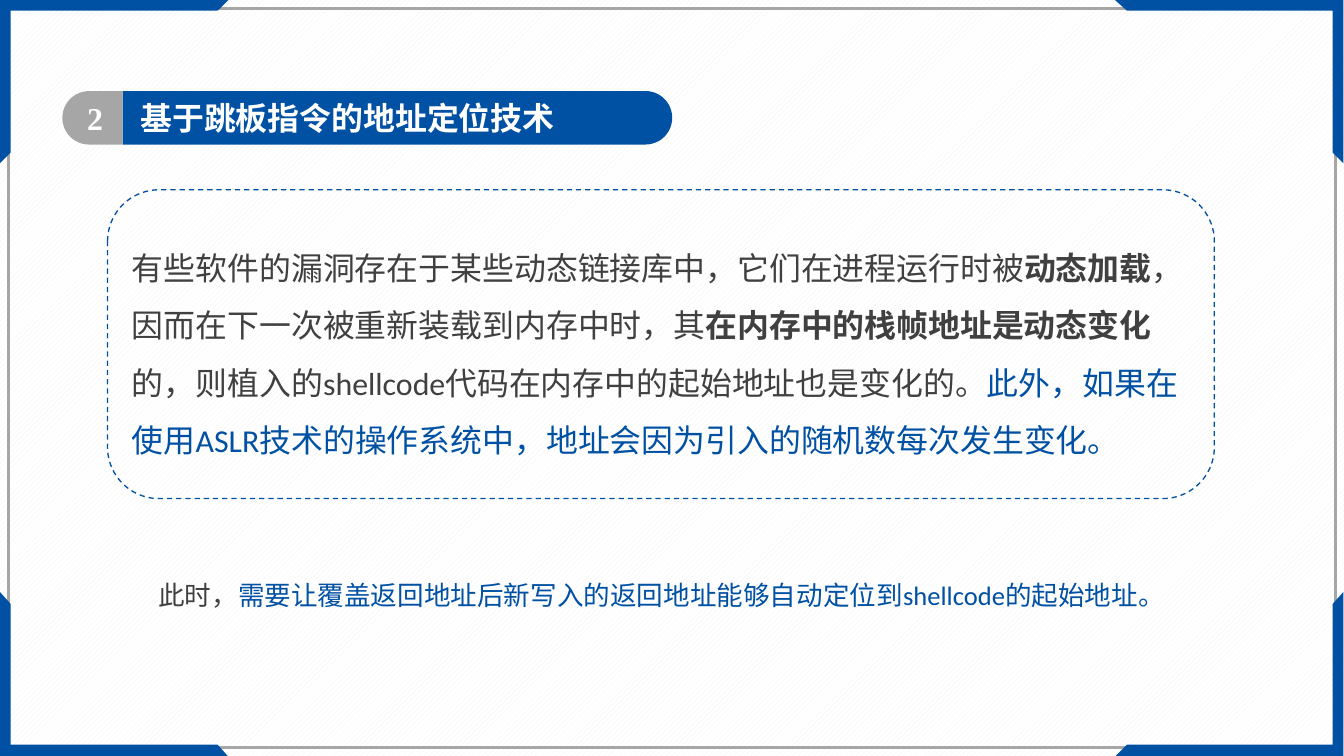
from pptx import Presentation
from pptx.dml.color import RGBColor
from pptx.enum.dml import MSO_LINE, MSO_PATTERN
from pptx.enum.shapes import MSO_SHAPE
from pptx.enum.text import MSO_ANCHOR, MSO_AUTO_SIZE, PP_ALIGN
from pptx.util import Pt

RECT = MSO_SHAPE.RECTANGLE
ROUNDED = MSO_SHAPE.ROUNDED_RECTANGLE
HALF_PILL = MSO_SHAPE.ROUND_2_SAME_RECTANGLE
DASH = MSO_LINE.DASH
STRIPES = MSO_PATTERN.WIDE_UPWARD_DIAGONAL
TOP, MIDDLE = MSO_ANCHOR.TOP, MSO_ANCHOR.MIDDLE
LEFT, CENTER, JUSTIFY = PP_ALIGN.LEFT, PP_ALIGN.CENTER, PP_ALIGN.JUSTIFY
NO_AUTOFIT = MSO_AUTO_SIZE.NONE

COLORS = {"blue": "0050A3", "gray": "A6A6A6", "text": "404040",
          "white": "FFFFFF", "stripe": "F2F2F2"}
WIDTH, HEIGHT = 1012.5, 569.5


def rgb(name):
    return RGBColor.from_string(COLORS[name])


def write(shape, runs, size=24, font="Calibri", align=LEFT, anchor=TOP,
          spacing=1.0, insets=(7.2, 3.6)):
    frame = shape.text_frame
    frame.word_wrap = True
    frame.auto_size = NO_AUTOFIT
    frame.vertical_anchor = anchor
    frame.margin_left = frame.margin_right = Pt(insets[0])
    frame.margin_top = frame.margin_bottom = Pt(insets[1])
    paragraph = frame.paragraphs[0]
    paragraph.alignment = align
    paragraph.line_spacing = spacing
    paragraph._p.get_or_add_pPr().set("hangingPunct", "0")
    for words, color, bold in runs:
        run = paragraph.add_run()
        run.text = words
        run.font.size = Pt(size)
        run.font.name = font
        run.font.bold = bold
        run.font.color.rgb = rgb(color)


def paint(shape, fill=None, line=None, weight=1):
    shape.shadow.inherit = False
    if fill:
        shape.fill.solid()
        shape.fill.fore_color.rgb = rgb(fill)
    else:
        shape.fill.background()
    if line:
        shape.line.color.rgb = rgb(line)
        shape.line.width = Pt(weight)
    else:
        shape.line.fill.background()
    return shape


def add_preset(slide, kind, box, **look):
    return paint(slide.shapes.add_shape(kind, *map(Pt, box)), **look)


def add_half_pill(slide, box, rotation, fill):
    left, top, width, height = box
    shift = (width - height) / 2
    half = add_preset(slide, HALF_PILL,
                      (left + shift, top - shift, height, width), fill=fill)
    half.adjustments[0] = 0.5
    half.adjustments[1] = 0
    half.rotation = rotation
    return half


def add_frame(slide, box):
    left, top, width, height = box
    inset, band, across, down = 6.5, 8.5, 172, 123.3
    add_preset(slide, RECT, (left + inset, top + inset,
                             width - 2 * inset, height - 2 * inset),
               line="gray", weight=2)
    corner = [(0, 0), (across, 0), (across - band, band), (band, band),
              (band, down - band), (0, down)]
    for x, x_step in ((left, 1), (left + width, -1)):
        for y, y_step in ((top, 1), (top + height, -1)):
            points = [(x + x_step * dx, y + y_step * dy) for dx, dy in corner]
            outline = slide.shapes.build_freeform(*points[0], scale=Pt(1))
            outline.add_line_segments(points[1:], close=True)
            paint(outline.convert_to_shape(), fill="blue")


def add_heading(slide, box, number, heading):
    left, top, width, height = box
    number_width = 45.4
    bar_left = left + number_width
    insets = (10.8, 5.76)
    bar = add_half_pill(slide, (bar_left, top, width - number_width, height),
                        90, "blue")
    add_half_pill(slide, (left, top, number_width, height), 270, "gray")
    title = slide.shapes.title
    title.left, title.top = Pt(bar_left + 2.5), Pt(top)
    title.width, title.height = Pt(width - number_width - 5), Pt(height)
    write(title, [(heading, "white", True)], insets=insets)
    bar.element.addnext(title.element)
    badge = slide.shapes.add_textbox(Pt(left + 3.2), Pt(top),
                                     Pt(43), Pt(height))
    write(badge, [(number, "white", True)], font="Times New Roman",
          align=CENTER, insets=insets)


def add_explanation(slide, box, runs):
    panel = add_preset(slide, ROUNDED, box, line="blue")
    panel.line.dash_style = DASH
    write(panel, runs, anchor=MIDDLE, spacing=1.5)


def add_conclusion(slide, box, runs):
    conclusion = slide.shapes.add_textbox(*map(Pt, box))
    write(conclusion, runs, size=20, align=JUSTIFY, spacing=1.5)


def main():
    deck = Presentation()
    deck.slide_width, deck.slide_height = Pt(WIDTH), Pt(HEIGHT)
    slide = deck.slides.add_slide(deck.slide_layouts[5])
    backdrop = slide.background.fill
    backdrop.patterned()
    backdrop.pattern = STRIPES
    backdrop.fore_color.rgb = rgb("stripe")
    backdrop.back_color.rgb = rgb("white")

    add_frame(slide, (0, 0, WIDTH, HEIGHT))
    add_heading(slide, (47, 68.6, 459.4, 40.3), "2",
                "基于跳板指令的地址定位技术")
    add_explanation(slide, (81, 143, 833.8, 232.6), [
        ("有些软件的漏洞存在于某些动态链接库中，它们在进程运行时被", "text", False),
        ("动态加载", "text", True),
        ("，因而在下一次被重新装载到内存中时，其", "text", False),
        ("在内存中的栈帧地址是动态变化", "text", True),
        ("的，则植入的shellcode代码在内存中的起始地址也是变化的。", "text", False),
        ("此外，如果在使用ASLR技术的操作系统中，地址会因为引入的随机数每次发生变化。",
         "blue", False),
    ])
    add_conclusion(slide, (112.1, 420.5, 788.4, 43.9), [
        ("此时，", "text", False),
        ("需要让覆盖返回地址后新写入的返回地址能够自动定位到shellcode的起始地址。",
         "blue", False),
    ])
    deck.save("out.pptx")


if __name__ == "__main__":
    main()
